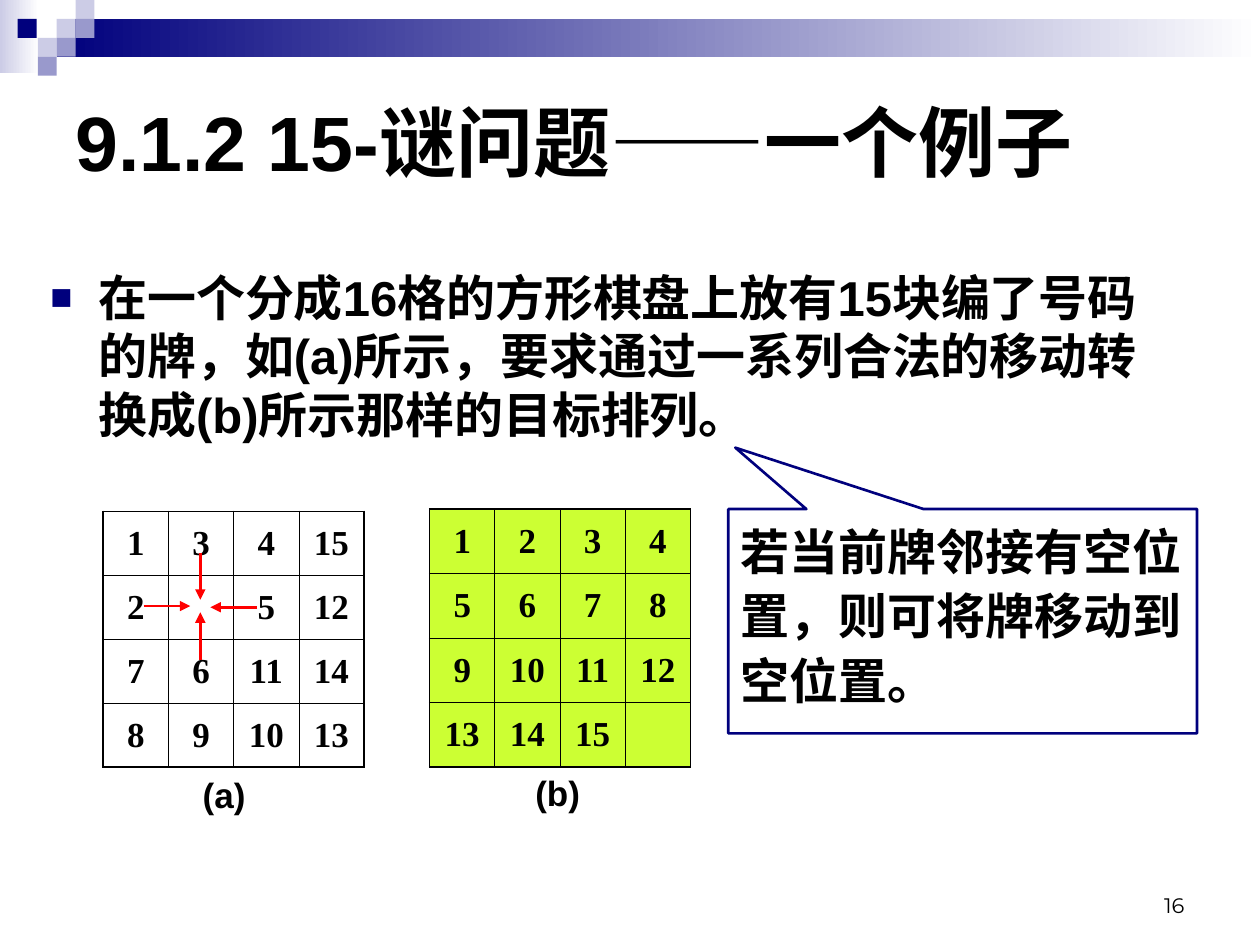
from dataclasses import dataclass

import pptx
import pptx.dml.color
import pptx.enum.shapes
import pptx.enum.text
import pptx.oxml
import pptx.oxml.ns
import pptx.util
from pptx.util import Inches

NAVY, LILAC, VIOLET = "00007D", "CCCCE6", "9999CC"
BLACK, WHITE, RED, LIME = "000000", "FFFFFF", "FF0000", "CCFF33"
ALIGN = pptx.enum.text.PP_ALIGN
ANCHOR = pptx.enum.text.MSO_ANCHOR
NAMESPACE = pptx.oxml.ns.nsdecls("a")


@dataclass
class Block:
    left: float
    top: float
    width: float
    height: float
    colors: tuple


@dataclass
class Board:
    left: float
    top: float
    height: float
    fill: str
    rows: list


@dataclass
class Caption:
    text: str
    left: float
    top: float


@dataclass
class Arrow:
    start: tuple
    end: tuple


TILE = 0.15
BLOCKS = [
    Block(0, 0, 0.31, 0.58, (LILAC, WHITE)),
    Block(0.45, 0.15, 9.55, 0.3, (NAVY, WHITE)),
] + [
    Block(left, top, TILE, TILE, (color,))
    for left, top, color in [
        (0.45, 0.15, LILAC), (0.6, 0, LILAC), (0.6, 0.15, VIOLET), (0.3, 0.3, LILAC),
        (0.14, 0.15, NAVY), (0.45, 0.3, VIOLET), (0.3, 0.45, VIOLET),
    ]
]
BOARDS = [
    Board(3.41, 4.04, 2.05, LIME,
          [[1, 2, 3, 4], [5, 6, 7, 8], [9, 10, 11, 12], [13, 14, 15, ""]]),
    Board(0.82, 4.06, 2.03, WHITE,
          [[1, 3, 4, 15], [2, "", 5, 12], [7, 6, 11, 14], [8, 9, 10, 13]]),
]
BOARD_WIDTH = 2.07
CAPTIONS = [Caption("(a)", 1.51, 6.09), Caption("(b)", 4.15, 6.07)]
ARROWS = [
    Arrow((1.14, 4.81), (1.51, 4.81)),
    Arrow((1.59, 5.24), (1.59, 4.86)),
    Arrow((2.04, 4.82), (1.67, 4.82)),
    Arrow((1.59, 4.39), (1.59, 4.76)),
]


def rgb(color: str) -> pptx.dml.color.RGBColor:
    return pptx.dml.color.RGBColor.from_string(color)


def write(frame, text: str, *, size: float, font: str = "Arial", bold: bool = True,
          align=ALIGN.LEFT, anchor=ANCHOR.TOP, spacing: float = 1.0):
    frame.word_wrap = True
    frame.vertical_anchor = anchor
    paragraph = frame.paragraphs[0]
    paragraph.alignment = align
    paragraph.line_spacing = spacing
    paragraph.space_before = pptx.util.Pt(0)
    run = paragraph.add_run()
    run.text = text
    run.font.size = pptx.util.Pt(size)
    run.font.name = font
    run.font.bold = bold
    run.font.color.rgb = rgb(BLACK)
    return paragraph


def place(shape, left: float, top: float, width: float, height: float) -> None:
    shape.left, shape.top = Inches(left), Inches(top)
    shape.width, shape.height = Inches(width), Inches(height)


def add_text_box(slide, left: float, top: float, width: float, height: float):
    box = slide.shapes.add_textbox(Inches(left), Inches(top), Inches(width), Inches(height))
    return box.text_frame


def add_block(slide, block: Block) -> None:
    shape = slide.shapes.add_shape(
        pptx.enum.shapes.MSO_SHAPE.RECTANGLE, Inches(block.left), Inches(block.top),
        Inches(block.width), Inches(block.height))
    shape.shadow.inherit = False
    shape.line.fill.background()
    if len(block.colors) == 1:
        shape.fill.solid()
        shape.fill.fore_color.rgb = rgb(block.colors[0])
        return
    shape.fill.gradient()
    shape.fill.gradient_angle = 0
    for stop, color in zip(shape.fill.gradient_stops, block.colors):
        stop.color.rgb = rgb(color)


def add_border(cell, side: str, width: float) -> None:
    cell._tc.get_or_add_tcPr().append(pptx.oxml.parse_xml(
        f'<a:ln{side} {NAMESPACE} w="{int(pptx.util.Pt(width))}"><a:solidFill>'
        f'<a:srgbClr val="{BLACK}"/></a:solidFill></a:ln{side}>'))


def add_board(slide, board: Board) -> None:
    count = len(board.rows)
    table = slide.shapes.add_table(
        count, count, Inches(board.left), Inches(board.top),
        Inches(BOARD_WIDTH), Inches(board.height)).table
    for row, numbers in enumerate(board.rows):
        for column, number in enumerate(numbers):
            cell = table.cell(row, column)
            outer = {"L": column == 0, "R": column == count - 1,
                     "T": row == 0, "B": row == count - 1}
            for side, is_outer in outer.items():
                add_border(cell, side, 1.08 if is_outer else 0.45)
            cell.fill.solid()
            cell.fill.fore_color.rgb = rgb(board.fill)
            cell.vertical_anchor = ANCHOR.MIDDLE
            if number:
                write(cell.text_frame, str(number), size=20, font="Times New Roman",
                      align=ALIGN.CENTER, anchor=ANCHOR.MIDDLE)


def add_arrow(slide, arrow: Arrow) -> None:
    connector = slide.shapes.add_connector(
        pptx.enum.shapes.MSO_CONNECTOR.STRAIGHT,
        *(Inches(value) for value in arrow.start + arrow.end))
    connector.line.color.rgb = rgb(RED)
    connector.line.width = pptx.util.Pt(1.5)
    connector.line._get_or_add_ln().append(
        pptx.oxml.parse_xml(f'<a:tailEnd {NAMESPACE} type="triangle"/>'))
    connector._element.spPr.append(pptx.oxml.parse_xml(f"<a:effectLst {NAMESPACE}/>"))


def add_bullet(paragraph) -> None:
    properties = paragraph._p.get_or_add_pPr()
    properties.set("marL", str(Inches(0.38)))
    properties.set("indent", str(Inches(-0.38)))
    for markup in (f'<a:buClr {NAMESPACE}><a:srgbClr val="{NAVY}"/></a:buClr>',
                   f'<a:buSzPct {NAMESPACE} val="75000"/>',
                   f'<a:buFont {NAMESPACE} typeface="Arial"/>',
                   f'<a:buChar {NAMESPACE} char="■"/>'):
        properties.append(pptx.oxml.parse_xml(markup))


def add_callout(slide, text: str) -> None:
    callout = slide.shapes.add_shape(
        pptx.enum.shapes.MSO_SHAPE.RECTANGULAR_CALLOUT,
        Inches(5.78), Inches(4.04), Inches(3.72), Inches(1.78))
    callout.adjustments[0], callout.adjustments[1] = -0.485, -0.774
    callout.shadow.inherit = False
    callout.fill.background()
    callout.line.color.rgb = rgb(NAVY)
    callout.line.width = pptx.util.Pt(1.5)
    write(callout.text_frame, text, size=28, spacing=1.1)


def main() -> None:
    presentation = pptx.Presentation()
    presentation.slide_width, presentation.slide_height = Inches(10), Inches(7.5)
    slide = presentation.slides.add_slide(presentation.slide_layouts[1])
    for block in BLOCKS:
        add_block(slide, block)

    title, body = slide.placeholders
    place(title, 0.5, 0.62, 9, 0.99)
    place(body, 0.3, 2.07, 9.2, 2.15)
    for placeholder in (title, body):
        placeholder.text_frame.auto_size = pptx.enum.text.MSO_AUTO_SIZE.NONE
    write(title.text_frame, "9.1.2 15-谜问题——一个例子", size=44, anchor=ANCHOR.MIDDLE)
    add_bullet(write(
        body.text_frame,
        "在一个分成16格的方形棋盘上放有15块编了号码的牌，如(a)所示，"
        "要求通过一系列合法的移动转换成(b)所示那样的目标排列。", size=28))

    for board in BOARDS:
        add_board(slide, board)
    add_callout(slide, "若当前牌邻接有空位置，则可将牌移动到空位置。")
    for caption in CAPTIONS:
        write(add_text_box(slide, caption.left, caption.top, 0.58, 0.44), caption.text, size=20)
    for arrow in ARROWS:
        add_arrow(slide, arrow)
    write(add_text_box(slide, 7.17, 6.83, 2.33, 0.5), "16", size=12, font="Montserrat",
          bold=False, align=ALIGN.RIGHT, anchor=ANCHOR.BOTTOM)
    presentation.save("out.pptx")


if __name__ == "__main__":
    main()
